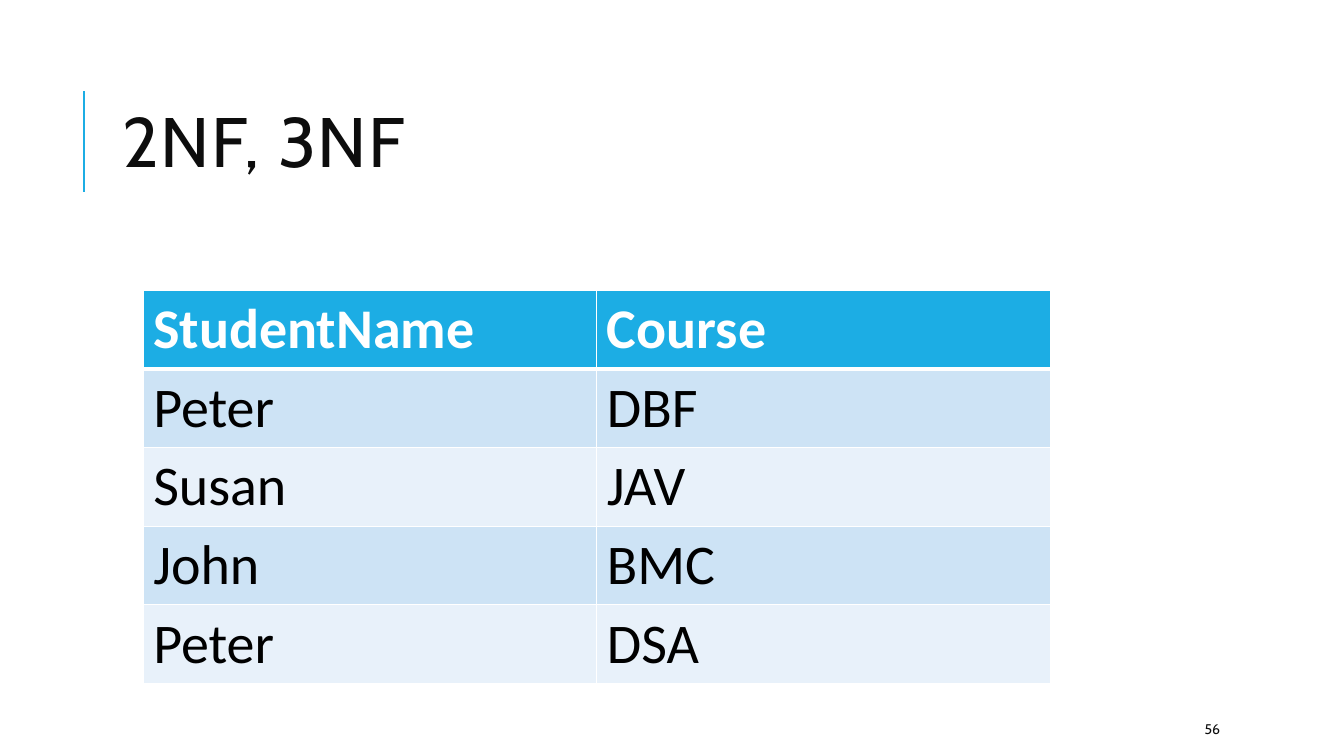
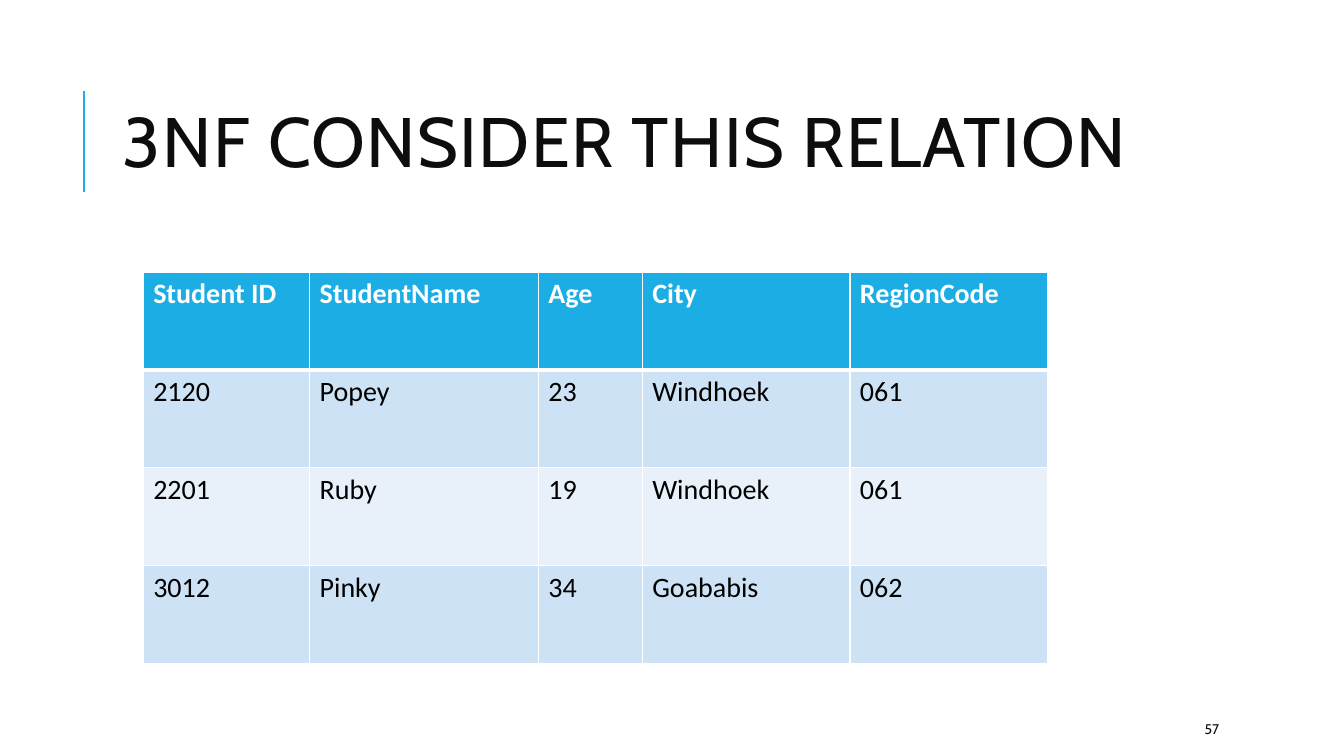
from lxml import etree
from pptx import Presentation
from pptx.dml.color import RGBColor
from pptx.enum.shapes import MSO_CONNECTOR
from pptx.enum.text import MSO_ANCHOR
from pptx.oxml.ns import qn
from pptx.util import Inches, Pt

ACCENT = RGBColor(0x1C, 0xAD, 0xE4)
INK = RGBColor(0x0D, 0x0D, 0x0D)
BLACK = RGBColor(0x00, 0x00, 0x00)
WHITE = RGBColor(0xFF, 0xFF, 0xFF)
BANDS = [RGBColor(0xCD, 0xE3, 0xF5), RGBColor(0xE8, 0xF1, 0xFA)]
HEAD_FONT, BODY_FONT = "Cabin", "Calibri"

# Slide content: title, number, table top, column widths, row height, text size, rows
SLIDES = [
    ("2NF, 3NF", 56, 2.88, [4.5, 4.5], 0.78, 40, [
        ["StudentName", "Course"],
        ["Peter", "DBF"],
        ["Susan", "JAV"],
        ["John", "BMC"],
        ["Peter", "DSA"],
    ]),
    ("3NF CONSIDER THIS RELATION", 57, 2.7, [1.65, 2.27, 1.03, 2.06, 1.96], 0.97, 20, [
        ["Student ID", "StudentName", "Age", "City", "RegionCode"],
        ["2120", "Popey", "23", "Windhoek", "061"],
        ["2201", "Ruby", "19", "Windhoek", "061"],
        ["3012", "Pinky", "34", "Goababis", "062"],
    ]),
]


def add_text(s, text, left, top, width, height, size):
    sp = s.shapes.add_textbox(Inches(left), Inches(top), Inches(width), Inches(height))
    tf = sp.text_frame
    tf.word_wrap = True
    tf.vertical_anchor = MSO_ANCHOR.MIDDLE
    p = tf.paragraphs[0]
    p.text = text
    r = p.runs[0]
    r.font.name, r.font.size, r.font.color.rgb = HEAD_FONT, Pt(size), INK
    return p


def set_borders(cell, bottom):
    tcPr = cell._tc.get_or_add_tcPr()
    for side, width in (("L", 1), ("R", 1), ("T", 1), ("B", bottom)):
        ln = etree.SubElement(tcPr, qn("a:ln" + side), w=str(Pt(width)))
        fill = etree.SubElement(ln, qn("a:solidFill"))
        etree.SubElement(fill, qn("a:srgbClr"), val=str(WHITE))


prs = Presentation()
prs.slide_width, prs.slide_height = Inches(13.33), Inches(7.5)

for title, number, top, widths, row_height, size, rows in SLIDES:
    s = prs.slides.add_slide(prs.slide_layouts[6])

    # Accent rule
    rule = s.shapes.add_connector(
        MSO_CONNECTOR.STRAIGHT, Inches(0.83), Inches(1.9), Inches(0.83), Inches(0.9))
    rule.line.color.rgb = ACCENT
    rule.line.width = Pt(1.5)
    etree.SubElement(rule._element.spPr, qn("a:effectLst"))

    # Title
    p = add_text(s, title, 1.12, 0.64, 10.63, 1.64, 50)
    p.line_spacing = 0.8
    p.runs[0].font._element.set("spc", "100")

    # Table
    table = s.shapes.add_table(
        len(rows), len(widths), Inches(1.42), Inches(top),
        Inches(sum(widths)), Inches(row_height * len(rows))).table
    for column, width in zip(table.columns, widths):
        column.width = Inches(width)
    for i, row in enumerate(rows):
        header = i == 0
        table.rows[i].height = Inches(row_height)
        for j, text in enumerate(row):
            cell = table.cell(i, j)
            set_borders(cell, 3 if header else 1)
            cell.fill.solid()
            cell.fill.fore_color.rgb = ACCENT if header else BANDS[(i - 1) % 2]
            cell.text_frame.text = text
            font = cell.text_frame.paragraphs[0].runs[0].font
            font.name, font.size, font.bold = BODY_FONT, Pt(size), header
            font.color.rgb = WHITE if header else BLACK

    # Slide number
    add_text(s, str(number), 11.85, 7.08, 1.06, 0.3, 10)

prs.save("out.pptx")
